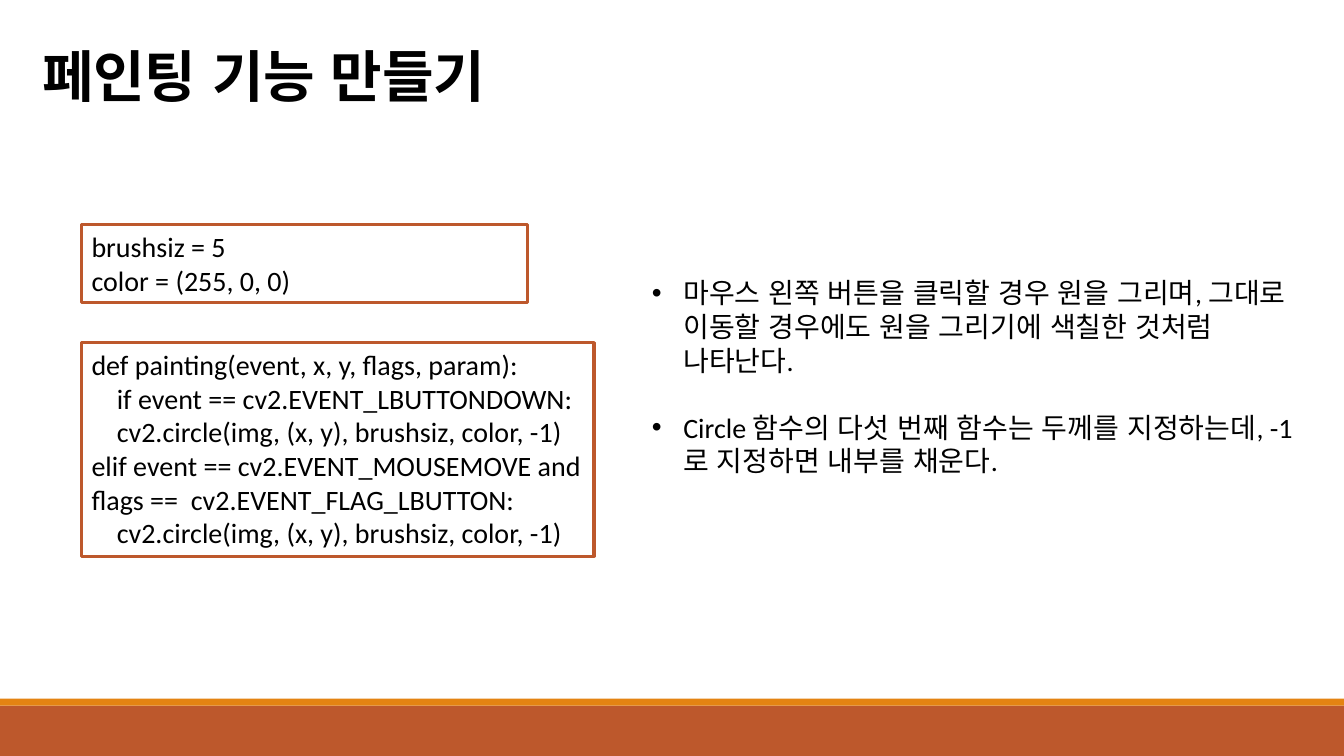
import pptx
import pptx.util
import pptx.dml.color
import pptx.enum.lang
import pptx.enum.shapes
import pptx.enum.text
import pptx.oxml
import pptx.oxml.ns

Pt = pptx.util.Pt
RUST = pptx.dml.color.RGBColor(0xBD, 0x58, 0x2C)
AMBER = pptx.dml.color.RGBColor(0xE4, 0x83, 0x12)
BLACK = pptx.dml.color.RGBColor(0, 0, 0)
RECT = pptx.enum.shapes.MSO_SHAPE.RECTANGLE
NS = pptx.oxml.ns.nsdecls("a")


def write(shape, text, size=20, face="Calibri", bold=False, wrap=True, bullet=False, gap=0):
    frame = shape.text_frame
    frame.word_wrap = wrap
    frame.vertical_anchor = pptx.enum.text.MSO_ANCHOR.TOP
    for i, line in enumerate(text.split("\n")):
        para = frame.paragraphs[0] if i == 0 else frame.add_paragraph()
        para.alignment = pptx.enum.text.PP_ALIGN.LEFT
        if i:
            para.space_before = Pt(gap)
        if bullet:
            props = para._p.get_or_add_pPr()
            props.set("marL", str(Pt(22.5)))
            props.set("indent", str(Pt(-22.5)))
            props.append(pptx.oxml.parse_xml(f'<a:buFont {NS} typeface="Arial"/>'))
            props.append(pptx.oxml.parse_xml(f'<a:buChar {NS} char="•"/>'))
        run = para.add_run()
        run.text = line
        font = run.font
        font.size = Pt(size)
        font.name = face
        font.bold = bold
        font.color.rgb = BLACK
        font.language_id = pptx.enum.lang.MSO_LANGUAGE_ID.KOREAN


deck = pptx.Presentation()
deck.slide_width = Pt(960)
deck.slide_height = Pt(540)
slide = deck.slides.add_slide(deck.slide_layouts[6])
shapes = slide.shapes

for top, high, color in [(504, 36, RUST), (499, 5, AMBER)]:
    band = shapes.add_shape(RECT, Pt(0), Pt(top), Pt(960), Pt(high))
    band.shadow.inherit = False
    band.fill.solid()
    band.fill.fore_color.rgb = color
    band.line.fill.background()

title = shapes.add_textbox(Pt(23), Pt(26), Pt(366.5), Pt(55.5))
write(title, "페인팅 기능 만들기", size=40, face="Noto Sans CJK KR", bold=True, wrap=False)

notes = shapes.add_textbox(Pt(458.5), Pt(193.5), Pt(476.5), Pt(152.5))
write(
    notes,
    "마우스 왼쪽 버튼을 클릭할 경우 원을 그리며, 그대로 이동할 경우에도 원을 그리기에 색칠한 것처럼 나타난다.\n"
    "Circle 함수의 다섯 번째 함수는 두께를 지정하는데, -1로 지정하면 내부를 채운다.",
    bullet=True,
    gap=24,
)

PAINT = """def painting(event, x, y, flags, param):
    if event == cv2.EVENT_LBUTTONDOWN:
    cv2.circle(img, (x, y), brushsiz, color, -1)
elif event == cv2.EVENT_MOUSEMOVE and flags ==  cv2.EVENT_FLAG_LBUTTON:
    cv2.circle(img, (x, y), brushsiz, color, -1)"""
SETUP = """brushsiz = 5
color = (255, 0, 0)"""

for top, wide, high, code in [(244.8, 366, 152.5, PAINT), (160.5, 318.5, 55.5, SETUP)]:
    box = shapes.add_shape(RECT, Pt(58.3), Pt(top), Pt(wide), Pt(high))
    box.shadow.inherit = False
    box.fill.background()
    box.line.color.rgb = RUST
    box.line.width = Pt(2.25)
    write(box, code)

deck.save("out.pptx")
